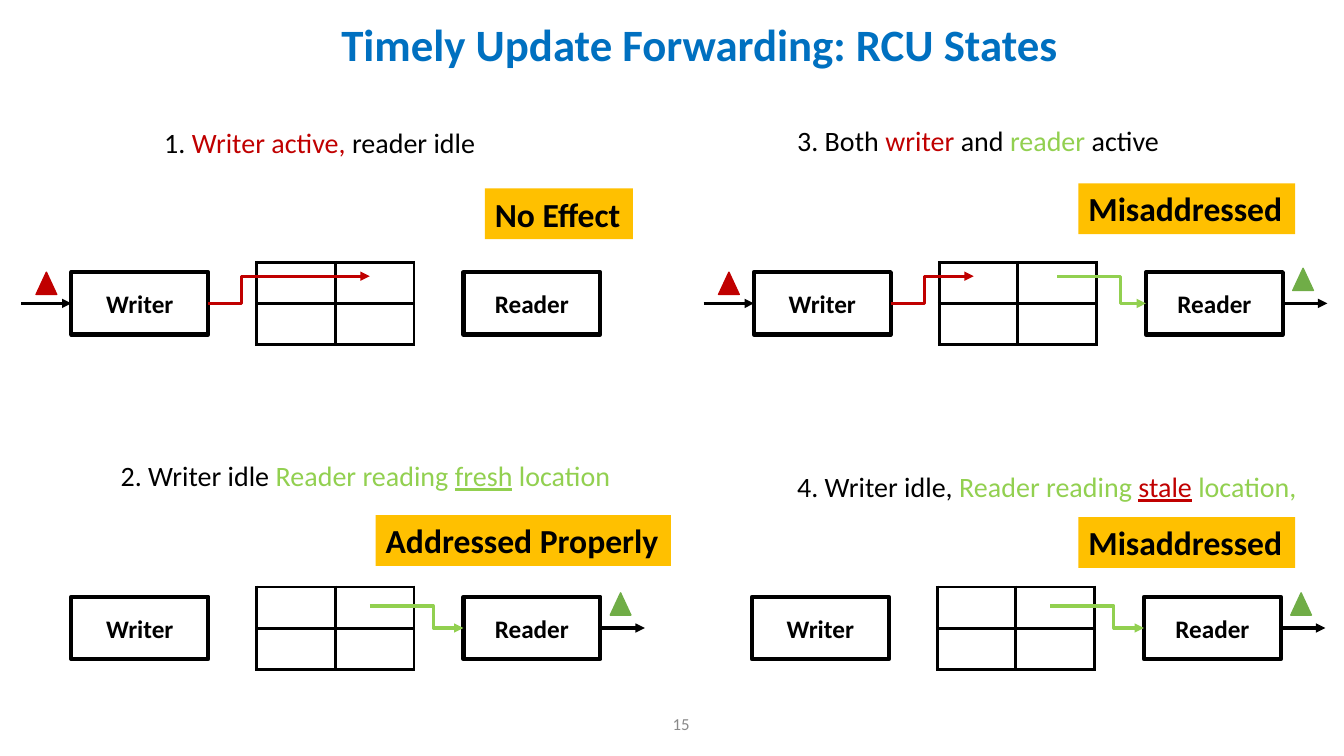
"""Build the slide that compares the four RCU states of timely update forwarding."""
from dataclasses import dataclass
from typing import Optional

from lxml.etree import SubElement
from pptx import Presentation
from pptx.dml.color import RGBColor
from pptx.enum.shapes import MSO_CONNECTOR as Connector, MSO_SHAPE as Shape
from pptx.enum.text import MSO_ANCHOR as Anchor, MSO_AUTO_SIZE as AutoSize, PP_ALIGN as Align
from pptx.oxml.ns import qn
from pptx.util import Cm, Pt

BLACK, WHITE, GREY, BLUE = "000000", "FFFFFF", "898989", "0070C0"
RED, LIME, GREEN, AMBER = "C00000", "92D050", "70AD47", "FFC000"
FONT = "Calibri"
BOX_WIDTH, BOX_HEIGHT = 3.45, 1.57
READER_OFFSET, TABLE_OFFSET = 9.88, 4.67
CELL_WIDTH, CELL_HEIGHT = 1.98, 1.04
TOP_ROW, BOTTOM_ROW = 6.86, 15.04


@dataclass(frozen=True)
class Run:
    text: str
    colour: str = BLACK
    underline: bool = False


@dataclass(frozen=True)
class Label:
    left: float
    top: float
    width: float
    height: float
    runs: tuple[Run, ...]
    size: int
    bold: bool = False
    align: Align = Align.LEFT
    anchor: Anchor = Anchor.TOP
    fill: Optional[str] = None


@dataclass(frozen=True)
class State:
    left: float
    top: float
    heading: Label
    badge: Label
    write_end: Optional[float] = None
    read_start: Optional[float] = None
    read_lane: float = 0.23


def heading(left: float, top: float, width: float, *runs: Run) -> Label:
    return Label(left, top, width, 1.12, runs, 20)


def badge(left: float, top: float, width: float, text: str) -> Label:
    return Label(left, top, width, 1.28, (Run(text),), 24, bold=True, fill=AMBER)


STATES = (
    State(1.8, TOP_ROW,
          heading(3.89, 3.05, 8.43, Run("1. "), Run("Writer active, ", RED), Run("reader idle")),
          badge(12.22, 4.75, 3.73, "No Effect"), write_end=7.52),
    State(1.8, BOTTOM_ROW,
          heading(2.79, 11.43, 12.98, Run("2. Writer idle"), Run(" Reader reading ", LIME),
                  Run("fresh", LIME, True), Run(" location", LIME)),
          badge(9.47, 12.98, 7.44, "Addressed Properly"), read_start=7.52),
    State(19.0, TOP_ROW,
          heading(19.84, 3.0, 9.73, Run("3. Both "), Run("writer ", RED), Run("and "),
                  Run("reader ", LIME), Run("active")),
          badge(27.18, 4.62, 5.46, "Misaddressed"),
          write_end=5.54, read_start=7.65, read_lane=0.1),
    State(18.95, BOTTOM_ROW,
          heading(19.84, 11.71, 13.54, Run("4. Writer idle,"), Run(" Reader reading ", LIME),
                  Run("stale", RED, True), Run(" location,", LIME)),
          badge(27.18, 13.03, 5.46, "Misaddressed"), read_start=7.52),
)
TITLE = Label(8.26, 0.3, 18.75, 1.63, (Run("Timely Update Forwarding: RCU States", BLUE),),
              32, bold=True, align=Align.CENTER)
PAGE_NUMBER = Label(16.26, 17.73, 1.37, 1.02, (Run("15", GREY),), 12,
                    align=Align.RIGHT, anchor=Anchor.MIDDLE)


def colour(value: str) -> RGBColor:
    return RGBColor.from_string(value)


def paint(shape, fill: str, line: str, width: float) -> None:
    shape.shadow.inherit = False
    shape.fill.solid()
    shape.fill.fore_color.rgb = colour(fill)
    shape.line.color.rgb = colour(line)
    shape.line.width = Pt(width)


def write_label(shape, label: Label) -> None:
    shape.left, shape.top = Cm(label.left), Cm(label.top)
    shape.width, shape.height = Cm(label.width), Cm(label.height)
    if label.fill:
        shape.fill.solid()
        shape.fill.fore_color.rgb = colour(label.fill)
    frame = shape.text_frame
    frame.word_wrap = False
    frame.auto_size = AutoSize.NONE
    frame.vertical_anchor = label.anchor
    paragraph = frame.paragraphs[0]
    paragraph.alignment = label.align
    font = paragraph.font
    font.name, font.size, font.bold = FONT, Pt(label.size), label.bold
    for part in label.runs:
        run = paragraph.add_run()
        run.text = part.text
        run.font.color.rgb = colour(part.colour)
        if part.underline:
            run.font.underline = True


def add_label(slide, label: Label) -> None:
    write_label(slide.shapes.add_textbox(0, 0, 0, 0), label)


def add_box(slide, left: float, top: float, name: str):
    box = slide.shapes.add_shape(Shape.RECTANGLE, 0, 0, 0, 0)
    paint(box, WHITE, BLACK, 3)
    write_label(box, Label(left, top, BOX_WIDTH, BOX_HEIGHT, (Run(name),), 18, bold=True,
                           align=Align.CENTER, anchor=Anchor.MIDDLE))
    return box


def add_marker(slide, left: float, top: float, fill: str) -> None:
    marker = slide.shapes.add_shape(Shape.ISOSCELES_TRIANGLE, Cm(left), Cm(top), Cm(0.52), Cm(0.56))
    paint(marker, fill, fill, 1)


def add_arrow(slide, start: tuple[float, float], end: tuple[float, float],
              line: str = BLACK, bend: Optional[float] = None):
    kind = Connector.STRAIGHT if bend is None else Connector.ELBOW
    arrow = slide.shapes.add_connector(kind, *map(Cm, start + end))
    arrow.line.color.rgb = colour(line)
    arrow.line.width = Pt(2.25)
    properties = arrow._element.spPr
    SubElement(properties.find(qn("a:ln")), qn("a:tailEnd"), type="triangle")
    SubElement(properties, qn("a:effectLst"))
    if bend is not None:
        ratio = round(bend / (end[0] - start[0]) * 100000)
        adjustments = properties.find(qn("a:prstGeom")).find(qn("a:avLst"))
        SubElement(adjustments, qn("a:gd"), name="adj1", fmla=f"val {ratio}")
    return arrow


def add_memory(slide, left: float, top: float) -> None:
    table = slide.shapes.add_table(2, 2, Cm(left), Cm(top),
                                   Cm(2 * CELL_WIDTH), Cm(2 * CELL_HEIGHT)).table
    table.first_row = table.horz_banding = False
    for row in table.rows:
        row.height = Cm(CELL_HEIGHT)
    for cell in table.iter_cells():
        properties = cell._tc.get_or_add_tcPr()
        for side in ("lnL", "lnR", "lnT", "lnB"):
            border = SubElement(properties, qn(f"a:{side}"), w=str(Pt(2.25)))
            SubElement(SubElement(border, qn("a:solidFill")), qn("a:srgbClr"), val=BLACK)
        cell.fill.background()


def add_state(slide, state: State) -> None:
    left, top = state.left, state.top
    middle = top + BOX_HEIGHT / 2
    writer_right = left + BOX_WIDTH
    reader_left = left + READER_OFFSET
    reader_right = reader_left + BOX_WIDTH
    add_memory(slide, left + TABLE_OFFSET, top - 0.25)
    writer = add_box(slide, left, top, "Writer")
    reader = add_box(slide, reader_left, top, "Reader")
    add_label(slide, state.heading)
    add_label(slide, state.badge)
    if state.write_end is not None:
        add_arrow(slide, (left - 1.27, middle), (left, middle)).end_connect(writer, 1)
        add_marker(slide, left - 0.89, top, RED)
        add_arrow(slide, (writer_right, middle), (left + state.write_end, top + 0.1), RED, bend=0.84)
    if state.read_start is not None:
        add_arrow(slide, (left + state.read_start, top + state.read_lane),
                  (reader_left, middle), LIME, bend=1.6)
        add_arrow(slide, (reader_right, middle), (reader_right + 1.12, middle)).begin_connect(reader, 3)
        add_marker(slide, reader_right + 0.25, top - 0.1, GREEN)


def main() -> None:
    presentation = Presentation()
    presentation.slide_width, presentation.slide_height = Cm(33.87), Cm(19.05)
    slide = presentation.slides.add_slide(presentation.slide_layouts[5])
    write_label(slide.shapes.title, TITLE)
    for state in STATES:
        add_state(slide, state)
    add_label(slide, PAGE_NUMBER)
    presentation.save("out.pptx")


if __name__ == "__main__":
    main()
